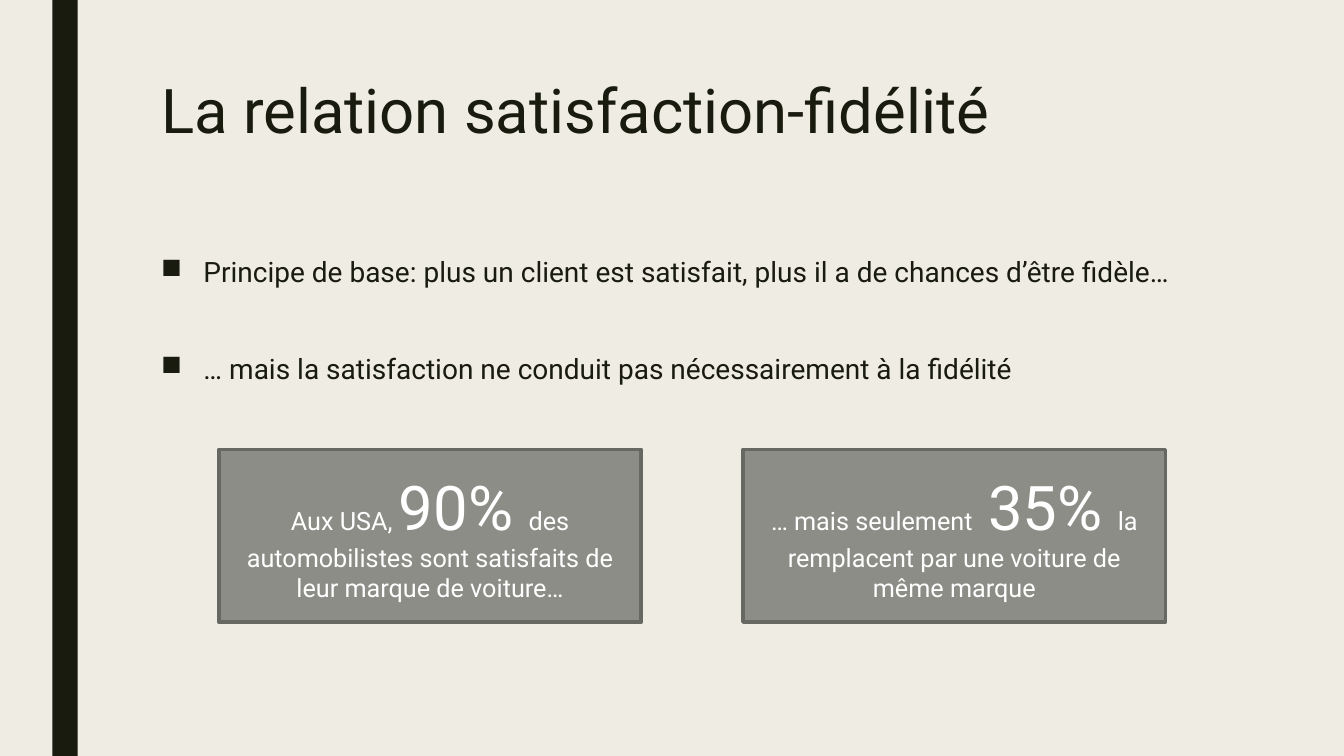
import pptx
import pptx.util
import pptx.dml.color
import pptx.enum.shapes
import pptx.enum.text
import pptx.oxml.ns
import lxml.etree

Inches = pptx.util.Inches
Pt = pptx.util.Pt
ALIGN = pptx.enum.text.PP_ALIGN
ANCHOR = pptx.enum.text.MSO_ANCHOR
RECTANGLE = pptx.enum.shapes.MSO_SHAPE.RECTANGLE
COLORS = {"paper": "EFEDE3", "ink": "191B0E", "card": "8C8D86",
          "border": "686863", "white": "FFFFFF"}


def rgb(name):
    return pptx.dml.color.RGBColor.from_string(COLORS[name])


def add_span(para, text, size, color):
    span = para.add_run()
    span.text = text
    for key, value in {"name": "Roboto", "size": Pt(size)}.items():
        setattr(span.font, key, value)
    span.font.color.rgb = rgb(color)


deck = pptx.Presentation()
deck.slide_width, deck.slide_height = Inches(13.33), Inches(7.5)
page = deck.slides.add_slide(deck.slide_layouts[5])
page.background.fill.solid()
page.background.fill.fore_color.rgb = rgb("paper")

# Vertical band on the left
band = page.shapes.add_shape(RECTANGLE, Inches(0.52), 0, Inches(0.25), deck.slide_height)
band.shadow.inherit = False
band.fill.solid()
band.fill.fore_color.rgb = rgb("ink")
band.line.fill.background()

# Title
title = page.shapes.title
title_format = {"left": Inches(1.5), "top": Inches(0.75),
                "width": Inches(10.5), "height": Inches(1.62)}
for key, value in title_format.items():
    setattr(title, key, value)
title.text_frame.word_wrap = True
title.text_frame.vertical_anchor = ANCHOR.TOP
para = title.text_frame.paragraphs[0]
para.alignment = ALIGN.LEFT
para.line_spacing = 0.89
add_span(para, "La relation satisfaction-fidélité", 44, "ink")

# Bulleted statements
statements = [
    "Principe de base: plus un client est satisfait, plus il a de chances d’être fidèle…",
    "… mais la satisfaction ne conduit pas nécessairement à la fidélité",
]
body = page.shapes.add_textbox(Inches(1.5), Inches(2.5), Inches(10.5), Inches(1.6))
body.text_frame.word_wrap = True
for index, statement in enumerate(statements):
    para = body.text_frame.paragraphs[0] if index == 0 else body.text_frame.add_paragraph()
    properties = para._p.get_or_add_pPr()
    properties.set("marL", str(Inches(0.42)))
    properties.set("indent", str(-Inches(0.42)))
    bullet = lxml.etree.SubElement(properties, pptx.oxml.ns.qn("a:buChar"))
    bullet.set("char", "■")
    para_format = {"line_spacing": 0.94, "space_after": Pt(2),
                   "space_before": Pt(45 if index else 0)}
    for key, value in para_format.items():
        setattr(para, key, value)
    add_span(para, statement, 20, "ink")

# Two figure cards: left edge and spans of (text, size)
cards = [
    (2.17, [("Aux USA, ", 18), ("90% ", 44),
            ("des automobilistes sont satisfaits de leur marque de voiture…", 18)]),
    (7.37, [("… mais seulement", 18), (" 35% ", 44),
            ("la remplacent par une voiture de même marque", 18)]),
]
for left, spans in cards:
    card = page.shapes.add_shape(RECTANGLE, Inches(left), Inches(4.46), Inches(4.19), Inches(1.71))
    card.shadow.inherit = False
    card.fill.solid()
    card.fill.fore_color.rgb = rgb("card")
    card.line.color.rgb = rgb("border")
    card.line.width = Pt(2.75)
    card.text_frame.word_wrap = True
    card.text_frame.vertical_anchor = ANCHOR.MIDDLE
    para = card.text_frame.paragraphs[0]
    para.alignment = ALIGN.CENTER
    for text, size in spans:
        add_span(para, text, size, "white")

deck.save("out.pptx")
